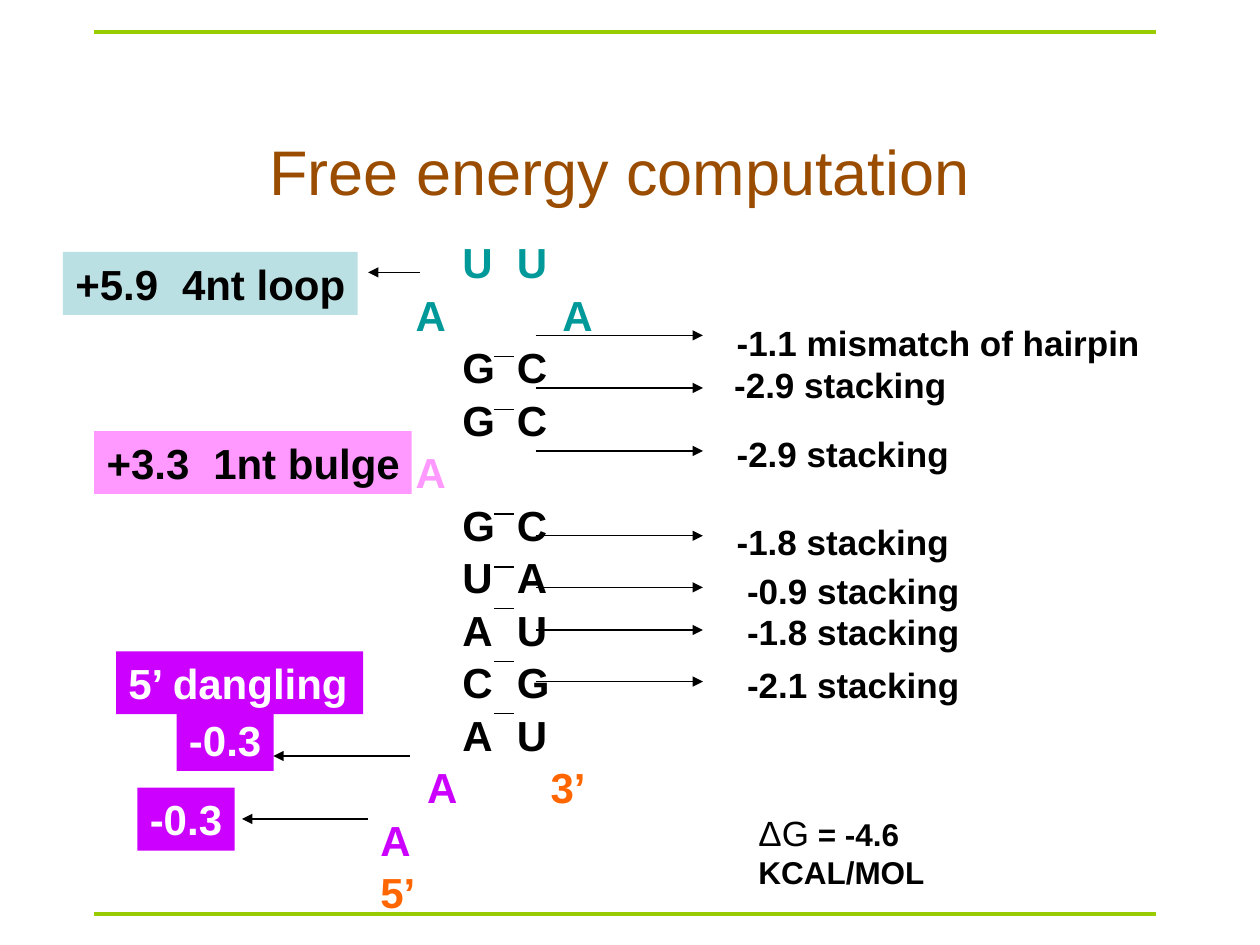
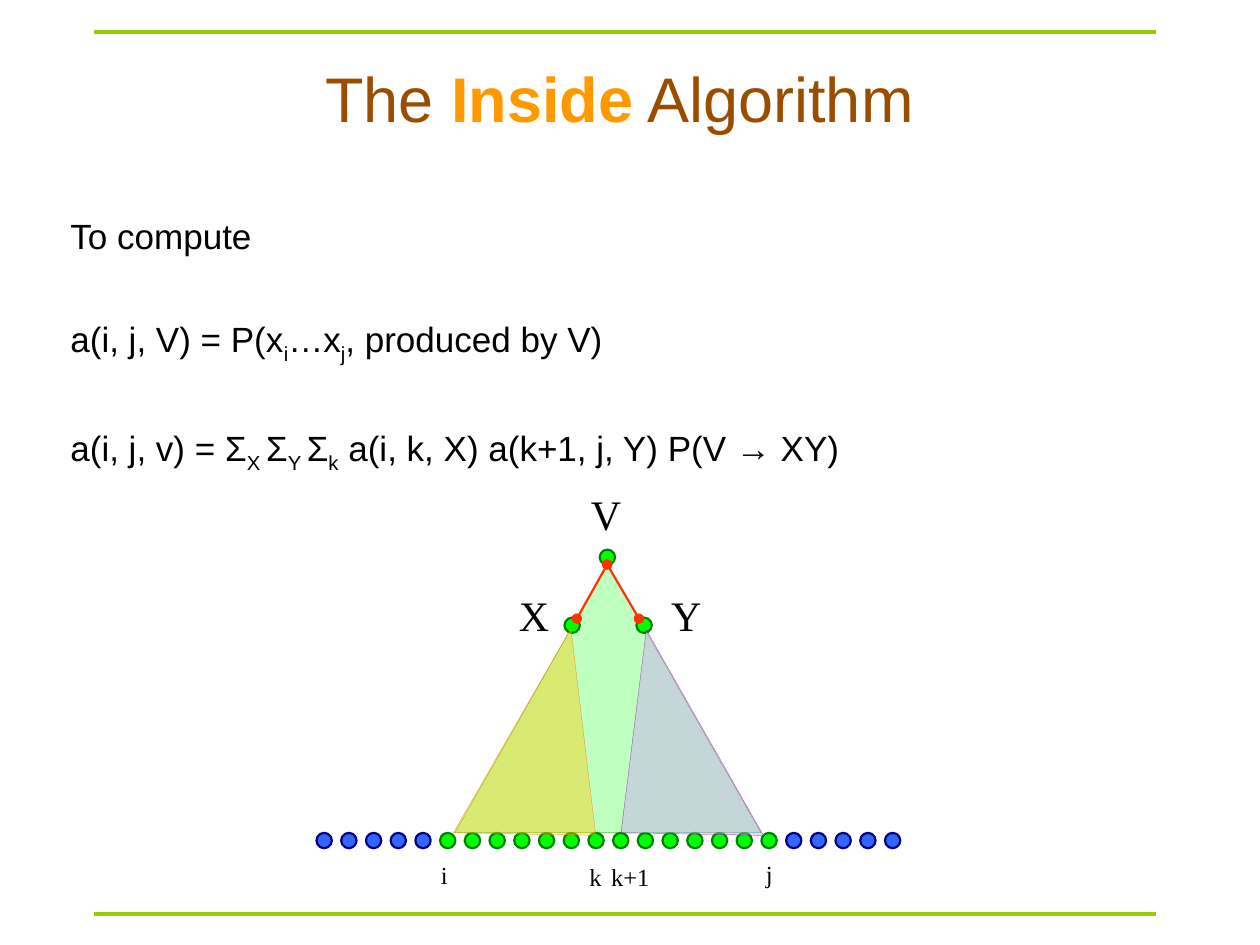
from dataclasses import dataclass

from lxml import etree
from pptx import Presentation
from pptx import util as u
from pptx.dml.color import RGBColor
from pptx.enum import shapes, text
from pptx.oxml.ns import qn


@dataclass(frozen=True)
class Theme:
    """Colours, fonts and sizes shared by the slides."""
    sans: str = "Arial"
    serif: str = "Times New Roman"
    title: str = "9A4D00"
    highlight: str = "FF9900"
    band: str = "99CC00"
    ink: str = "000000"
    paper: str = "FFFFFF"
    loop: str = "009999"
    loop_fill: str = "BBE0E3"
    bulge: str = "FF99FF"
    dangling: str = "CC00FF"
    strand_end: str = "FF6600"
    green: tuple = ("00FF00", "008000")
    blue: tuple = ("3366FF", "000080")
    yellow: tuple = ("FFCC00", "FF6600")
    violet: tuple = ("CC99FF", "800080")
    branch: str = "FF3300"
    title_size: float = 36
    large: float = 24
    medium: float = 20
    small: float = 18
    tiny: float = 14
    band_width: float = 2.24
    arrow_width: float = 0.74
    dot_width: float = 1.25
    hairline: float = 0.11


THEME = Theme()


@dataclass(frozen=True)
class Box:
    """A region in centimetres."""
    left: float
    top: float
    width: float
    height: float

    def inner(self, left, top, width, height):
        """Return a box placed relative to this one."""
        return Box(self.left + left, self.top + top, width, height)

    def point(self, x, y):
        """Return a slide point from a point in this box."""
        return self.left + x, self.top + y

    def emu(self):
        """Return the four lengths for python-pptx."""
        return [u.Cm(v) for v in (self.left, self.top, self.width, self.height)]


def add_span(para, words, size, colour=THEME.ink, bold=False, font=THEME.sans, base=0):
    """Add one formatted run to a paragraph."""
    span = para.add_run()
    span.text = words
    span.font.name = font
    span.font.size = u.Pt(size)
    span.font.bold = bold
    span.font.color.rgb = RGBColor.from_string(colour)
    if base:
        span._r.get_or_add_rPr().set("baseline", str(base * 1000))


def set_tabs(para, stops):
    """Give a paragraph left tab stops in centimetres."""
    tabs = etree.SubElement(para._p.get_or_add_pPr(), qn("a:tabLst"))
    for stop in stops:
        etree.SubElement(tabs, qn("a:tab"), pos=str(u.Cm(stop)), algn="l")


def paint(shape, fill, line=None, width=0, opacity=100):
    """Fill and outline a shape without a shadow."""
    shape.shadow.inherit = False
    shape.fill.solid()
    shape.fill.fore_color.rgb = RGBColor.from_string(fill)
    if opacity < 100:
        colour = next(shape.element.spPr.iter(qn("a:srgbClr")))
        etree.SubElement(colour, qn("a:alpha"), val=str(opacity * 1000))
    if line:
        shape.line.color.rgb = RGBColor.from_string(line)
        shape.line.width = u.Pt(width)
    else:
        shape.line.fill.background()


def add_line(page, start, end, colour=THEME.ink, width=THEME.arrow_width, head=None, tail=None):
    """Draw a straight connector with optional ends."""
    line = page.shapes.add_connector(
        shapes.MSO_CONNECTOR.STRAIGHT, *[u.Cm(v) for v in (*start, *end)])
    line.line.color.rgb = RGBColor.from_string(colour)
    line.line.width = u.Pt(width)
    outline = line.element.spPr.find(qn("a:ln"))
    for tag, kind in (("a:headEnd", head), ("a:tailEnd", tail)):
        if kind:
            etree.SubElement(outline, qn(tag), type=kind)
    etree.SubElement(line.element.spPr, qn("a:effectLst"))
    return line


def text_frame(page, box, fill=None):
    """Add a text area, filled if a colour is given, and return its frame."""
    if fill:
        shape = page.shapes.add_shape(shapes.MSO_SHAPE.RECTANGLE, *box.emu())
        paint(shape, fill)
    else:
        shape = page.shapes.add_textbox(*box.emu())
    frame = shape.text_frame
    frame.word_wrap = True
    frame.vertical_anchor = text.MSO_ANCHOR.TOP
    frame.margin_right = 0
    frame.paragraphs[0].alignment = text.PP_ALIGN.LEFT
    return frame


def add_label(page, box, words, size, colour=THEME.ink, bold=True, font=THEME.sans,
              fill=None, stops=()):
    """Add a one-line label."""
    para = text_frame(page, box, fill).paragraphs[0]
    if stops:
        set_tabs(para, stops)
    add_span(para, words, size, colour, bold, font)


def add_bands(deck, page):
    """Place the two green rules on the slide master."""
    for number, y in enumerate((0.64, 18.42)):
        line = add_line(page, (1.9, y), (23.3, y), THEME.band, THEME.band_width)
        line.element.nvCxnSpPr.cNvPr.id = 50 + number
        deck.slide_master.shapes.element.append(line.element)


def add_title(page, box, spans):
    """Place and format the title placeholder."""
    title = page.shapes.title
    title.left, title.top, title.width, title.height = box.emu()
    frame = title.text_frame
    frame.vertical_anchor = text.MSO_ANCHOR.MIDDLE
    para = frame.paragraphs[0]
    para.alignment = text.PP_ALIGN.CENTER
    for words, colour, bold in spans:
        add_span(para, words, THEME.title_size, colour, bold)


def draw_hairpin(page, box):
    """Write the folded strand and the bonds of its pairs."""
    pair = (1.65, 2.75)
    rows = [(pair, [("\tU\tU", THEME.loop)]),
            ((0.71, 3.67), [("\tA\tA", THEME.loop)]),
            (pair, [("\tG\tC", THEME.ink)]),
            (pair, [("\tG\tC", THEME.ink)]),
            ((0.71,), [("\tA", THEME.bulge)]),
            *[(pair, [(f"\t{left}\t{right}", THEME.ink)])
              for left, right in ("GC", "UA", "AU", "CG", "AU")],
            ((0.94, 3.43), [("\tA", THEME.dangling), ("\t3’", THEME.strand_end)]),
            ((), [("A", THEME.dangling)]),
            ((), [("5’", THEME.strand_end)])]
    frame = text_frame(page, box)
    for number, (stops, spans) in enumerate(rows):
        para = frame.add_paragraph() if number else frame.paragraphs[0]
        para.space_before = u.Pt(1.2)
        if stops:
            set_tabs(para, stops)
        for words, colour in spans:
            add_span(para, words, THEME.large, colour, True)
    for y in (2.54, 3.61, 5.71, 6.78, 7.62, 8.69, 9.73):
        add_line(page, box.point(2.54, y), box.point(2.94, y))


def draw_stacking(page, box):
    """Draw the energy terms at the right with their arrows."""
    terms = [("-1.1 mismatch of hairpin", 0.41, 3.8, 0),
             ("-2.9 stacking", 1.47, 3.75, 0.86),
             ("-2.9 stacking", 2.74, 3.8, 2.24),
             ("-1.8 stacking", 4.45, 3.8, 4.01),
             ("-0.9 stacking", 5.49, 4.01, 5),
             ("-1.8 stacking", 6.35, 4.01, 5.84),
             ("-2.1 stacking", 7.39, 4.01, 6.91)]
    for words, y, left, top in terms:
        add_line(page, box.point(0, y), box.point(3.37, y), tail="triangle")
        add_label(page, box.inner(left, top, 8.64, 1.12), words, THEME.medium)


def draw_loop_terms(page, box):
    """Draw the coloured energy terms at the left with their arrows."""
    terms = [("-0.3", 2.29, 9.19, 1.96, THEME.paper, THEME.dangling),
             ("-0.3", 1.5, 10.8, 1.96, THEME.paper, THEME.dangling),
             ("5’ dangling", 1.07, 8.05, 4.98, THEME.paper, THEME.dangling),
             ("+3.3\t1nt bulge", 0.63, 3.61, 6.4, THEME.ink, THEME.bulge),
             ("+5.9\t4nt loop", 0, 0, 5.94, THEME.ink, THEME.loop_fill)]
    for words, left, top, width, colour, fill in terms:
        add_label(page, box.inner(left, top, width, 1.27), words, THEME.large, colour,
                  fill=fill, stops=(2.15,) if "\t" in words else ())
    for start, end, y in ((7.19, 6.15, 0.41), (6.99, 4.24, 10.16), (6.15, 3.61, 11.43)):
        add_line(page, box.point(start, y), box.point(end, y), tail="triangle")


def write_total(page, box):
    """Write the total free energy."""
    para = text_frame(page, box).paragraphs[0]
    add_span(para, "ΔG", THEME.medium)
    add_span(para, " = -4.6 KCAL/MOL", THEME.small, bold=True)


def write_formulas(page, box):
    """Write the recurrence, with subscripts after each underscore mark."""
    lines = [[("To compute", 0)],
             [("a(i, j, V) = P(x", 0), ("i", 1), ("…x", 0), ("j", 1),
              (", produced by V)", 0)],
             [("a(i, j, v) = Σ", 0), ("X ", 1), ("Σ", 0), ("Y ", 1), ("Σ", 0), ("k", 1),
              (" a(i, k, X) a(k+1, j, Y) P(V → XY)", 0)]]
    frame = text_frame(page, box)
    for number, spans in enumerate(lines):
        para = frame.add_paragraph() if number else frame.paragraphs[0]
        para.space_before = u.Pt(35 if number else 0)
        for words, lowered in spans:
            add_span(para, words, THEME.medium, base=-25 * lowered)


def add_dot(page, box, x, y, colours):
    """Draw one node of the tree or the sequence."""
    dot = page.shapes.add_shape(shapes.MSO_SHAPE.OVAL, *box.inner(x, y, 0.31, 0.31).emu())
    paint(dot, *colours, THEME.dot_width)


def add_wedge(page, box, corners, colours):
    """Draw a translucent subtree outline."""
    points = [tuple(u.Cm(v) for v in box.point(*corner)) for corner in corners]
    builder = page.shapes.build_freeform(*points[0], scale=1.0)
    builder.add_line_segments(points[1:], close=True)
    paint(builder.convert_to_shape(), *colours, THEME.hairline, 40)


def draw_parse_tree(page, box):
    """Draw the sequence and the subtrees of V, X and Y above it."""
    for number in range(24):
        colours = THEME.green if 5 <= number < 19 else THEME.blue
        add_dot(page, box, number * 11.46 / 23, 7.06, colours)
    add_dot(page, box, 5.71, 1.35, THEME.green)
    tree = page.shapes.add_shape(
        shapes.MSO_SHAPE.ISOSCELES_TRIANGLE, *box.inner(2.79, 1.65, 6.17, 5.41).emu())
    paint(tree, *THEME.green, THEME.hairline, 25)
    for x in (5, 6.45):
        add_dot(page, box, x, 2.72, THEME.green)
    add_wedge(page, box, [(5.13, 2.94), (2.76, 7.06), (5.63, 7.11)], THEME.yellow)
    add_wedge(page, box, [(6.65, 2.97), (6.14, 7.06), (9.01, 7.11)], THEME.violet)
    for x in (5.25, 6.5):
        add_line(page, box.point(x, 2.74), box.point(5.86, 1.65), THEME.branch,
                 THEME.dot_width, "oval", "oval")
    labels = [("k", 5.25, 7.52, THEME.tiny), ("k+1", 5.69, 7.52, THEME.tiny),
              ("i", 2.26, 7.49, THEME.tiny), ("j", 8.81, 7.47, THEME.tiny),
              ("V", 5.28, 0, THEME.large), ("X", 3.83, 2.03, THEME.large),
              ("Y", 6.9, 2.03, THEME.large)]
    for words, left, top, size in labels:
        add_label(page, box.inner(left, top, 1.27, size * 0.05), words, size,
                  bold=False, font=THEME.serif)


def build_energy_slide(page):
    """Build the free energy slide."""
    add_title(page, Box(2.54, 2.54, 19.9, 1.78),
              [("Free energy computation", THEME.title, False)])
    draw_hairpin(page, Box(7.42, 4.65, 4.78, 13.5))
    draw_loop_terms(page, Box(1.27, 5.08, 7.2, 12.1))
    draw_stacking(page, Box(10.8, 6.35, 12.4, 8.1))
    write_total(page, Box(15.04, 16.23, 4.5, 2))


def build_inside_slide(page):
    """Build the inside algorithm slide."""
    add_title(page, Box(2.54, 1.07, 19.9, 1.78),
              [("The ", THEME.title, False), ("Inside", THEME.highlight, True),
               (" Algorithm", THEME.title, False)])
    write_formulas(page, Box(1.17, 4.2, 23.3, 5.5))
    draw_parse_tree(page, Box(6.38, 9.73, 11.77, 8.4))


def main():
    """Build and save the deck."""
    deck = Presentation()
    deck.slide_width, deck.slide_height = u.Cm(25.4), u.Cm(19.05)
    layout = deck.slide_layouts.get_by_name("Title Only")
    energy, inside = [deck.slides.add_slide(layout) for _ in range(2)]
    add_bands(deck, energy)
    build_energy_slide(energy)
    build_inside_slide(inside)
    deck.save("out.pptx")


main()
